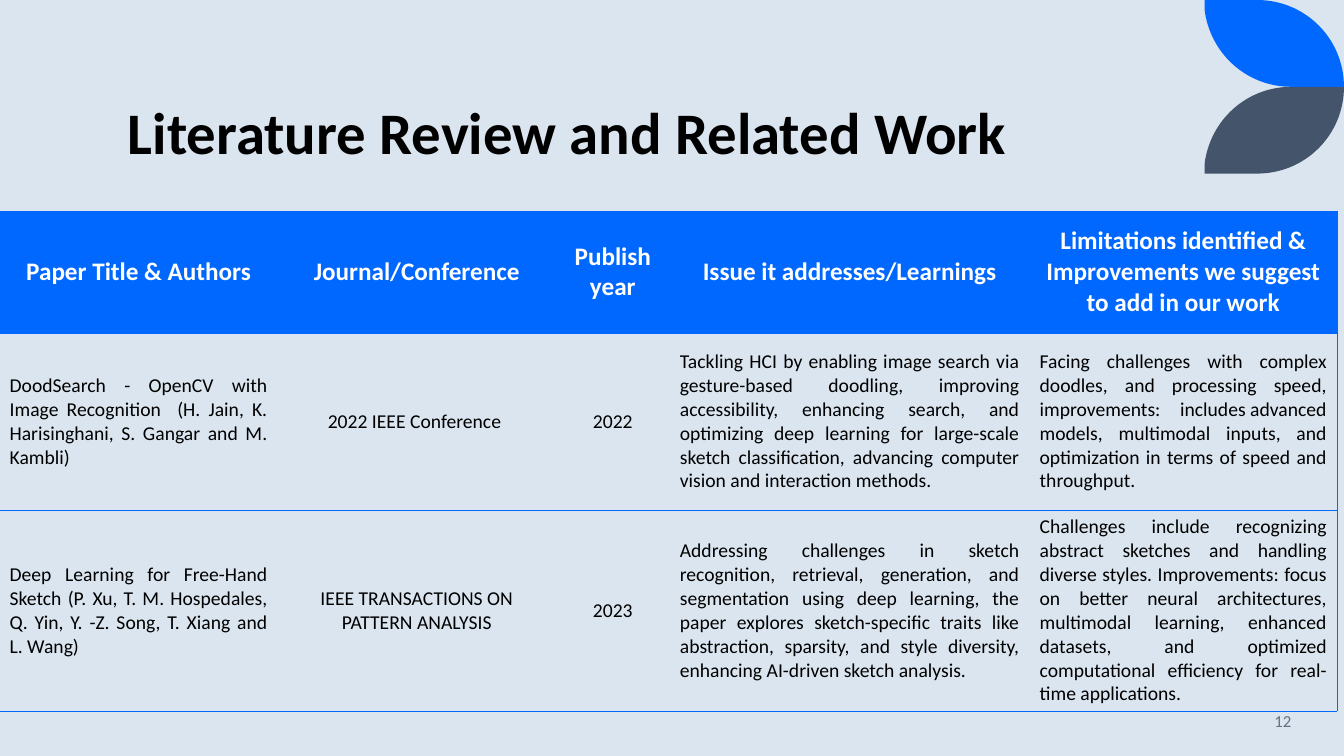
from lxml.etree import SubElement as Sub
from pptx import Presentation
from pptx.dml.color import RGBColor
from pptx.enum.text import MSO_ANCHOR as Anchor, PP_ALIGN as Align
from pptx.oxml.ns import qn
from pptx.util import Pt

BLUE, SLATE, GREY = "0068FF", "44546A", "637183"
BLACK, WHITE, PALE = "000000", "FFFFFF", "DAE5EF"
HARD = chr(160)
WIDTHS = [198.7, 198.7, 81.4, 257, 219.6]
HEIGHTS = [87.1, 126.7, 66.2]
SIDES = [Align.JUSTIFY, Align.CENTER, Align.CENTER, Align.JUSTIFY, Align.JUSTIFY]
ROWS = [
    ["Paper Title & Authors", "Journal/Conference", "Publish year",
     "Issue it addresses/Learnings",
     "Limitations identified & Improvements we suggest to add in our work"],
    ["DoodSearch - OpenCV with Image Recognition  (H. Jain, K. Harisinghani, "
     "S. Gangar and M. Kambli)",
     "2022 IEEE Conference ", "2022",
     "Tackling HCI by enabling image search via gesture-based doodling, "
     "improving accessibility, enhancing search, and optimizing deep learning "
     "for large-scale sketch classification, advancing computer vision and "
     "interaction methods.",
     "Facing challenges with complex doodles, and processing speed, "
     f"improvements: includes{HARD}advanced models, multimodal inputs, and "
     "optimization in terms of speed and throughput."],
    ["Deep Learning for Free-Hand Sketch (P. Xu, T. M. Hospedales, Q. Yin, "
     "Y. -Z. Song, T. Xiang and L. Wang)",
     "IEEE TRANSACTIONS ON PATTERN ANALYSIS", "2023",
     "Addressing challenges in sketch recognition, retrieval, generation, and "
     "segmentation using deep learning, the paper explores sketch-specific "
     "traits like abstraction, sparsity, and style diversity, enhancing "
     "AI-driven sketch analysis.",
     "Challenges include recognizing abstract sketches and handling diverse "
     "styles. Improvements: focus on better neural architectures, multimodal "
     "learning, enhanced datasets, and optimized computational efficiency for "
     "real-time applications."],
]
LEAF = [(0, 0), (37.5, 0), (72, 0), (99.6, 27.6), (99.6, 62),
        (62, 62), (29.5, 62), (3.6, 37.5), (0, 6.5)]


def paint(fill, color):
    fill.solid()
    fill.fore_color.rgb = RGBColor.from_string(color)


def write(frame, text, size, color, bold=False, align=Align.LEFT):
    frame.text = text
    para = frame.paragraphs[0]
    para.alignment = align
    font = para.font
    font.name, font.size, font.bold = "Calibri", Pt(size), bold
    font.color.rgb = RGBColor.from_string(color)
    return para


def place(shape, left, top, width, height):
    shape.left, shape.top = Pt(left), Pt(top)
    shape.width, shape.height = Pt(width), Pt(height)


def bend(lines):
    first = lines[0]
    curve = first.makeelement(qn("a:cubicBezTo"))
    first.addprevious(curve)
    for line in lines:
        curve.append(line[0])
        line.getparent().remove(line)


def add_leaf(slide, base, sign, color):
    spots = [(Pt(860.4 + x), Pt(base + sign * y)) for x, y in LEAF]
    build = slide.shapes.build_freeform(*spots[0])
    build.add_line_segments(spots[1:], close=True)
    leaf = build.convert_to_shape()
    lines = list(leaf._element.iter(qn("a:lnTo")))
    bend(lines[1:4])
    bend(lines[5:8])
    leaf.shadow.inherit = False
    paint(leaf.fill, color)
    leaf.line.fill.background()


def add_title(slide, text):
    title = slide.shapes.title
    place(title, 84.2, 13.7, 763.2, 108)
    frame = title.text_frame
    frame.vertical_anchor = Anchor.BOTTOM
    para = write(frame, text, 42, BLACK, True)
    para.line_spacing = 0.8


def edge(cell, names):
    props = cell._tc.get_or_add_tcPr()
    for name in ("lnL", "lnR", "lnT", "lnB"):
        line = Sub(props, qn("a:" + name), w=str(Pt(0.5)))
        if name in names:
            Sub(Sub(line, qn("a:solidFill")), qn("a:srgbClr"), val=BLUE)
        else:
            Sub(line, qn("a:noFill"))


def add_grid(slide):
    frame = slide.shapes.add_table(
        len(ROWS), len(WIDTHS), Pt(-0.3), Pt(150.7),
        Pt(sum(WIDTHS)), Pt(sum(HEIGHTS)))
    grid = frame.table
    grid.horz_banding = False
    for col, width in zip(grid.columns, WIDTHS):
        col.width = Pt(width)
    for row, height in zip(grid.rows, HEIGHTS):
        row.height = Pt(height)
    frame.height = Pt(355.7)
    last = len(WIDTHS) - 1
    for r, texts in enumerate(ROWS):
        for c, text in enumerate(texts):
            cell = grid.cell(r, c)
            cell.vertical_anchor = Anchor.MIDDLE
            edge(cell, ["lnT", "lnB"] + ["lnL"] * (c == 0) + ["lnR"] * (c == last))
            if r == 0:
                paint(cell.fill, BLUE)
                write(cell.text_frame, text, 18, WHITE, True, Align.CENTER)
            else:
                cell.fill.background()
                write(cell.text_frame, text, 14, BLACK, False, SIDES[c])


def add_number(slide, text):
    box = slide.shapes.add_textbox(Pt(799.2), Pt(500.4), Pt(130.3), Pt(28.8))
    frame = box.text_frame
    frame.word_wrap = True
    frame.vertical_anchor = Anchor.MIDDLE
    write(frame, text, 12, GREY, align=Align.RIGHT)


def main():
    deck = Presentation()
    deck.slide_width, deck.slide_height = Pt(960), Pt(540)
    slide = deck.slides.add_slide(deck.slide_layouts[5])
    paint(slide.background.fill, PALE)
    add_leaf(slide, 0, 1, BLUE)
    add_leaf(slide, 124, -1, SLATE)
    add_title(slide, "Literature Review and Related Work")
    add_grid(slide)
    add_number(slide, "12")
    deck.save("out.pptx")


if __name__ == "__main__":
    main()
